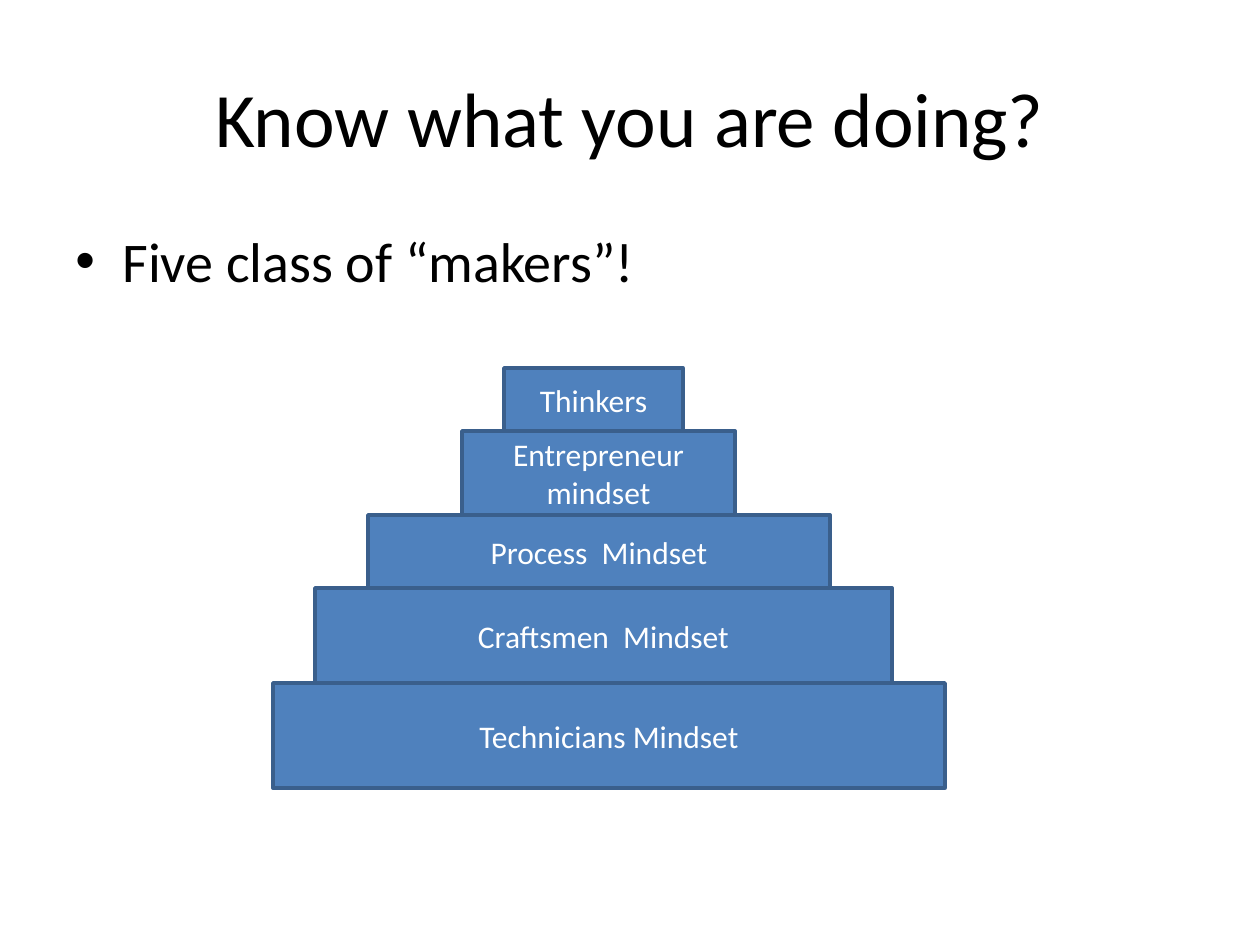
from dataclasses import dataclass

from lxml.etree import SubElement
from pptx import Presentation
from pptx.dml.color import RGBColor
from pptx.enum.shapes import MSO_SHAPE
from pptx.enum.text import MSO_ANCHOR, PP_ALIGN
from pptx.oxml.ns import qn
from pptx.util import Emu, Pt


@dataclass(frozen=True)
class Theme:
    font: str = "Calibri"
    ink: str = "000000"
    light: str = "FFFFFF"
    fill: str = "4F81BD"
    edge: str = "3A5F8C"
    title: int = 44
    body: int = 32
    label: int = 18
    line: int = 2


THEME = Theme()
PX_PER_INCH = 126

# Text, left and width, height: from the top tier down
TIERS = [
    ("Thinkers", 504, 179, 63),
    ("Entrepreneur mindset", 462, 273, 84),
    ("Process  Mindset", 368, 462, 73),
    ("Craftsmen  Mindset", 315, 577, 95),
    ("Technicians Mindset", 273, 672, 105),
]
TIERS_TOP = 368


def px(n):
    return Emu(round(n * 914400 / PX_PER_INCH))


def color(code):
    return RGBColor.from_string(code)


def write(frame, text, size, ink, align, anchor):
    """Put one styled run in the frame and return its paragraph."""
    frame.word_wrap = True
    frame.vertical_anchor = anchor
    para = frame.paragraphs[0]
    para.alignment = align
    run = para.add_run()
    run.text = text
    run.font.name = THEME.font
    run.font.size = Pt(size)
    run.font.color.rgb = color(ink)
    return para


def add_title(slide, text):
    title = slide.shapes.title
    title.left, title.top = px(63), px(38)
    title.width, title.height = px(1134), px(158)
    write(title.text_frame, text, THEME.title, THEME.ink,
          PP_ALIGN.CENTER, MSO_ANCHOR.MIDDLE)


def add_bullet(slide, text):
    box = slide.shapes.add_textbox(px(63), px(220), px(1134), px(624))
    para = write(box.text_frame, text, THEME.body, THEME.ink,
                 PP_ALIGN.LEFT, MSO_ANCHOR.TOP)
    para.space_before = Pt(THEME.body * 0.2)
    props = para._p.get_or_add_pPr()
    indent = px(47)
    props.set("marL", str(indent))
    props.set("indent", str(-indent))
    SubElement(props, qn("a:buFont"), typeface="Arial")
    SubElement(props, qn("a:buChar"), char="•")


def add_tier(slide, text, left, top, width, height):
    tier = slide.shapes.add_shape(
        MSO_SHAPE.RECTANGLE, px(left), px(top), px(width), px(height))
    tier.shadow.inherit = False
    tier.fill.solid()
    tier.fill.fore_color.rgb = color(THEME.fill)
    tier.line.color.rgb = color(THEME.edge)
    tier.line.width = Pt(THEME.line)
    write(tier.text_frame, text, THEME.label, THEME.light,
          PP_ALIGN.CENTER, MSO_ANCHOR.MIDDLE)


def add_tiers(slide):
    """Stack the tiers from the base up, each resting on the one below."""
    top = TIERS_TOP + sum(height for *_, height in TIERS)
    for text, left, width, height in reversed(TIERS):
        top -= height
        add_tier(slide, text, left, top, width, height)


def main():
    deck = Presentation()
    deck.slide_width, deck.slide_height = px(1260), px(945)
    slide = deck.slides.add_slide(deck.slide_layouts[5])
    add_title(slide, "Know what you are doing?")
    add_bullet(slide, "Five class of “makers”!")
    add_tiers(slide)
    deck.save("out.pptx")


if __name__ == "__main__":
    main()
